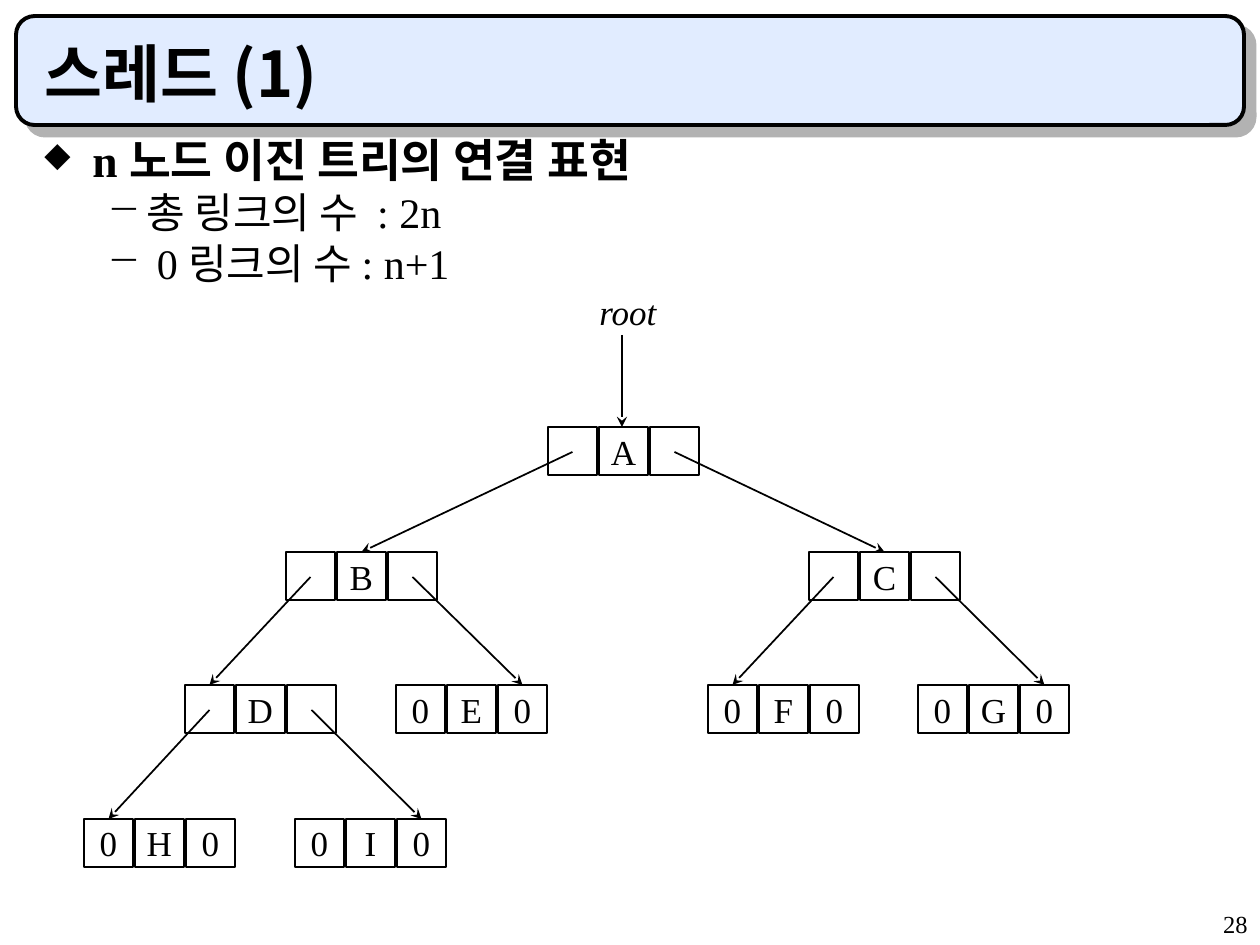
from lxml import etree
from pptx import Presentation
from pptx.dml.color import RGBColor
from pptx.enum.shapes import MSO_CONNECTOR as CONN, MSO_SHAPE as SHAPE
from pptx.enum.text import MSO_ANCHOR as ANCHOR, PP_ALIGN as ALIGN
from pptx.oxml import parse_xml
from pptx.oxml.ns import nsdecls, qn
from pptx.util import Pt

PX = 914400 / 126
SERIF, SANS = "Times New Roman", "Noto Sans CJK KR"


def px(*values):
    return [round(v * PX) for v in values]


def style(p, size, font=SERIF, bold=False, italic=False):
    for r in p.runs:
        r.font.size, r.font.name = Pt(size), font
        r.font.bold, r.font.italic = bold, italic
        r.font.color.rgb = RGBColor.from_string("000000")
        ea = etree.SubElement(r.font._element, qn("a:ea"))
        ea.set("typeface", SANS)


prs = Presentation()
prs.slide_width, prs.slide_height = px(1260, 945)
s = prs.slides.add_slide(prs.slide_layouts[5])

banner = s.shapes.add_shape(SHAPE.ROUNDED_RECTANGLE, *px(16, 16, 1228, 109))
banner.adjustments[0] = 0.17
banner.fill.solid()
banner.fill.fore_color.rgb = RGBColor.from_string("E1ECFF")
banner.line.color.rgb = RGBColor.from_string("000000")
banner.line.width = Pt(2.25)
banner._element.spPr.append(parse_xml(
    f'<a:effectLst {nsdecls("a")}><a:outerShdw dist="107950" dir="2700000" algn="ctr" '
    'rotWithShape="0"><a:srgbClr val="B2B2B2"/></a:outerShdw></a:effectLst>'))

title = s.shapes.title
s.shapes._spTree.append(title._element)
title.left, title.top, title.width, title.height = px(32, 32, 1187, 84)
tf = title.text_frame
tf.text = "스레드 (1)"
tf.vertical_anchor = ANCHOR.BOTTOM
tf.paragraphs[0].alignment = ALIGN.LEFT
style(tf.paragraphs[0], 36, SANS, bold=True)

body = s.shapes.add_textbox(*px(32, 136, 1187, 735))
tf = body.text_frame
tf.word_wrap = True
lines = [("n 노드 이진 트리의 연결 표현", 0), ("총 링크의 수  : 2n", 1), (" 0 링크의 수 : n+1", 1)]
for i, (text, level) in enumerate(lines):
    p = tf.paragraphs[0] if i == 0 else tf.add_paragraph()
    p.text = text
    p.level = level
    p.line_spacing = 0.8
    if i:
        p.space_before = Pt(6)
    margin, hang, mark, percent, size = [(48, 48, "◆", 75, 26), (102, 39, "−", 100, 24)][level]
    pPr = p._p.get_or_add_pPr()
    pPr.set("marL", str(px(margin)[0]))
    pPr.set("indent", str(px(-hang)[0]))
    etree.SubElement(pPr, qn("a:buSzPct")).set("val", str(percent * 1000))
    etree.SubElement(pPr, qn("a:buChar")).set("char", mark)
    style(p, size, bold=level == 0)

PITCH, CELL_W, CELL_H = 51, 49, 48
ROWS = [427, 552, 685, 819]
nodes = {
    "A": (548, 0, " A "), "B": (286, 1, " B "), "C": (809, 1, " C "),
    "D": (185, 2, " D "), "E": (396, 2, "0E0"), "F": (708, 2, "0F0"),
    "G": (918, 2, "0G0"), "H": (84, 3, "0H0"), "I": (295, 3, "0I0"),
}
for x, row, cells in nodes.values():
    for i, label in enumerate(cells):
        sp = s.shapes.add_shape(SHAPE.RECTANGLE, *px(x + i * PITCH, ROWS[row], CELL_W, CELL_H))
        sp.shadow.inherit = False
        sp.fill.background()
        sp.line.color.rgb = RGBColor.from_string("000000")
        sp.line.width = Pt(1)
        if label != " ":
            tf = sp.text_frame
            tf.text = label
            tf.word_wrap = False
            tf.vertical_anchor = ANCHOR.MIDDLE
            tf.paragraphs[0].alignment = ALIGN.CENTER
            style(tf.paragraphs[0], 20)

arrows = [(622, 335, 622, ROWS[0])]
links = [("A", 0, "B", 1), ("A", 2, "C", 1), ("B", 0, "D", 0), ("B", 2, "E", 2),
         ("C", 0, "F", 0), ("C", 2, "G", 2), ("D", 0, "H", 0), ("D", 2, "I", 2)]
for parent, i, child, j in links:
    (x1, row1, _), (x2, row2, _) = nodes[parent], nodes[child]
    arrows.append((x1 + i * PITCH + CELL_W / 2, ROWS[row1] + CELL_H / 2 + 1,
                   x2 + j * PITCH + CELL_W / 2, ROWS[row2]))
for ends in arrows:
    line = s.shapes.add_connector(CONN.STRAIGHT, *px(*ends))
    line.line.color.rgb = RGBColor.from_string("000000")
    line.line.width = Pt(1)
    etree.SubElement(line.line._get_or_add_ln(), qn("a:tailEnd")).set("type", "stealth")
    etree.SubElement(line._element.spPr, qn("a:effectLst"))

labels = [("root", (587, 284, 84, 54), 20, ALIGN.LEFT, True),
          ("28", (998, 903, 262, 42), 14, ALIGN.RIGHT, False)]
for text, box, size, align, italic in labels:
    tf = s.shapes.add_textbox(*px(*box)).text_frame
    tf.text = text
    tf.word_wrap = not italic
    tf.paragraphs[0].alignment = align
    style(tf.paragraphs[0], size, italic=italic)

prs.save("out.pptx")
